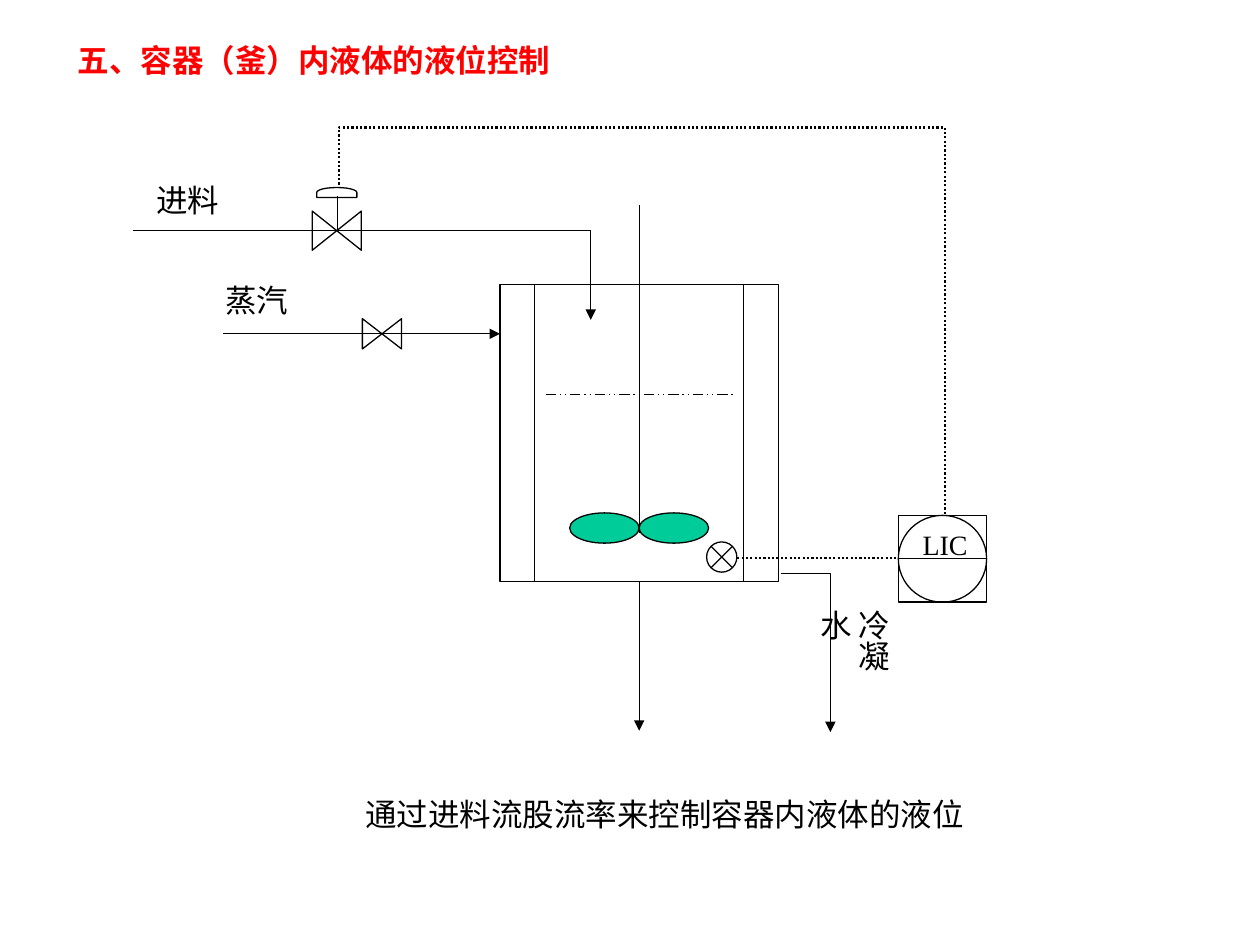
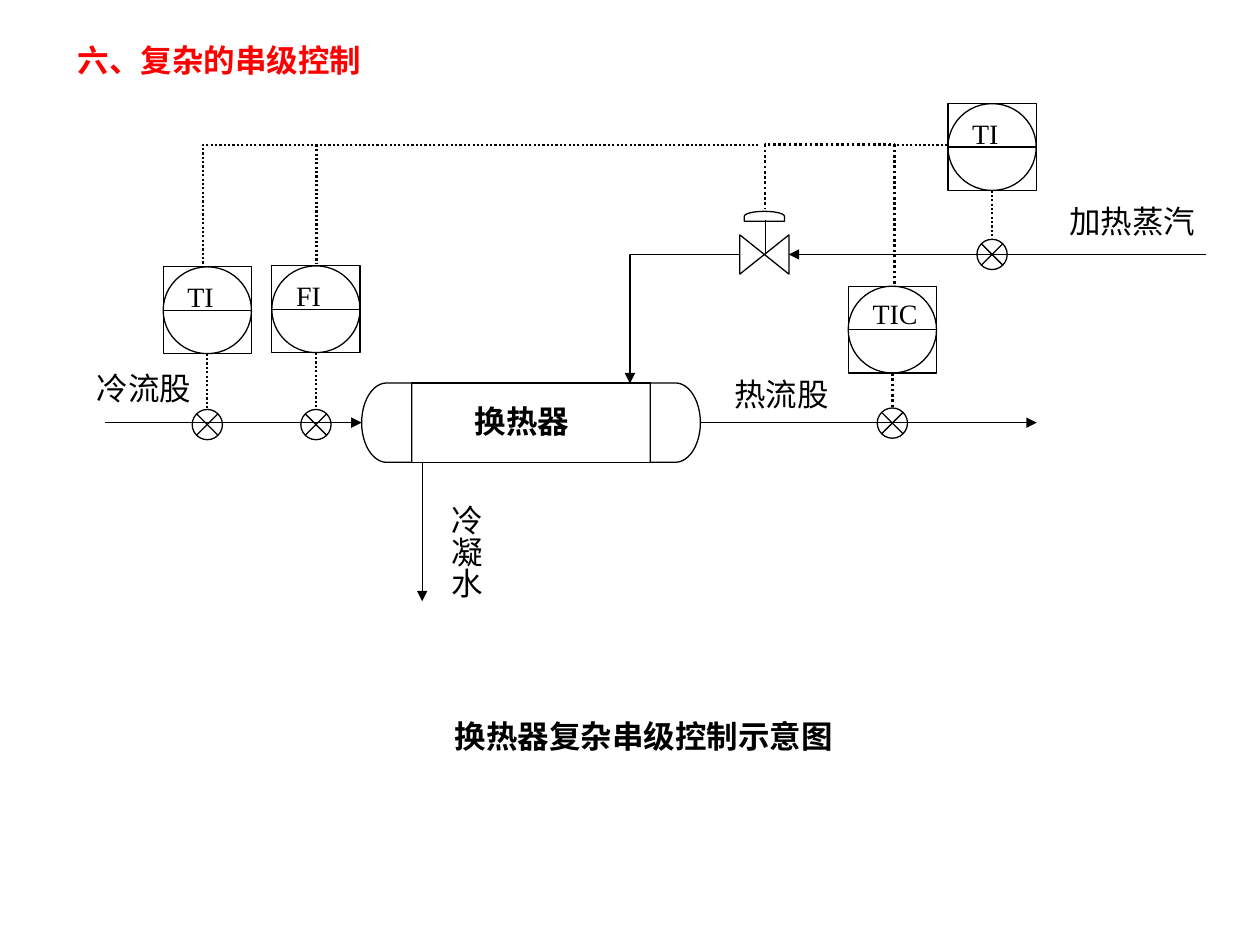
"""Builds two process control diagrams: tank level and cascade heating."""
from lxml.etree import SubElement as Sub
from pptx import Presentation as Deck
from pptx.dml.color import RGBColor as RGB
from pptx.enum.dml import MSO_LINE as Dash
from pptx.enum.shapes import MSO_CONNECTOR as Link, MSO_SHAPE as Form
from pptx.enum.text import MSO_AUTO_SIZE as Fit
from pptx.oxml.ns import qn
from pptx.util import Cm, Pt

HUES = {"ink": "000000", "title": "FF0000", "blade": "00CC99", "page": "FFFFFF"}
FONT = "Times New Roman"
DOT = Dash.ROUND_DOT
DIAL_W, DIAL_H = 1.78, 1.75
EYE = 0.61
ROW = 1.02


def hue(name):
    """Return a named colour."""
    return RGB.from_string(HUES[name])


def put(page, form, x, y, w, h, fill=None, turn=0):
    """Draw an outlined preset shape."""
    shape = page.shapes.add_shape(form, Cm(x), Cm(y), Cm(w), Cm(h))
    shape.shadow.inherit = False
    shape.rotation = turn
    if fill:
        shape.fill.solid()
        shape.fill.fore_color.rgb = hue(fill)
    else:
        shape.fill.background()
    shape.line.color.rgb = hue("ink")
    shape.line.width = Pt(0.75)


def mid(page, form, x, y, w, h, turn=0):
    """Draw a preset shape around its centre."""
    put(page, form, x - w / 2, y - h / 2, w, h, turn=turn)


def wire(page, x, y, spots, tip=False, dash=None, size=0.75):
    """Draw a line through spots measured from x, y."""
    spots = [(Cm(x + dx), Cm(y + dy)) for dx, dy in spots]
    if len(spots) == 2:
        shape = page.shapes.add_connector(Link.STRAIGHT, *spots[0], *spots[1])
    else:
        pen = page.shapes.build_freeform(*spots[0])
        pen.add_line_segments(spots[1:], close=False)
        shape = pen.convert_to_shape()
        shape.fill.background()
    shape.line.color.rgb = hue("ink")
    shape.line.width = Pt(size)
    if dash:
        shape.line.dash_style = dash
    props = shape.element.spPr
    if tip:
        Sub(props.find(qn("a:ln")), qn("a:tailEnd"), type="triangle")
    Sub(props, qn("a:effectLst"))


def note(page, text, x, y, w, h=ROW, size=18, bold=False, tint="ink", tall=False):
    """Write a label, upright in columns if tall."""
    box = page.shapes.add_textbox(Cm(x), Cm(y), Cm(w), Cm(h))
    frame = box.text_frame
    frame.word_wrap = True
    frame.auto_size = Fit.SHAPE_TO_FIT_TEXT
    if tall:
        frame.margin_left = frame.margin_right = Cm(0.13)
        frame.margin_top = frame.margin_bottom = Cm(0.25)
        box.element.txBody.find(qn("a:bodyPr")).set("vert", "eaVert")
    run = frame.paragraphs[0].add_run()
    run.text = text
    run.font.name = FONT
    run.font.size = Pt(size)
    run.font.bold = bold
    run.font.color.rgb = hue(tint)


def dial(page, x, y, tag, drop=0.13):
    """Draw a panel instrument with its tag."""
    for form in (Form.RECTANGLE, Form.OVAL):
        put(page, form, x, y, DIAL_W, DIAL_H)
    wire(page, x, y, [(0, DIAL_H / 2), (DIAL_W, DIAL_H / 2)])
    note(page, tag, x + 0.24, y + drop, 1.55, 0.94, size=16)


def eye(page, x, y):
    """Draw a sensor centred on x, y."""
    mid(page, Form.FLOWCHART_SUMMING_JUNCTION, x, y, EYE, EYE)


def probe(page, x, y, tag, end, drop=0.13, size=1.25):
    """Draw an instrument wired to a sensor below it."""
    dial(page, x, y, tag, drop)
    stem = x + DIAL_W / 2
    wire(page, stem, 0, [(0, y + DIAL_H), (0, end - EYE / 2)], dash=DOT, size=size)
    eye(page, stem, end)


def valve(page, x, y):
    """Draw a control valve centred on x, y."""
    mid(page, Form.FLOWCHART_COLLATE, x, y, 0.79, 0.99, 270)
    wire(page, x + 0.02, y, [(0, -0.7), (0, 0)])
    mid(page, Form.FLOWCHART_DELAY, x, y - 0.77, 0.2, 0.81, 270)


def tank(page, x, y, w, h):
    """Draw the stirred vessel with jacket, outlet and sensor."""
    put(page, Form.FLOWCHART_PREDEFINED_PROCESS, x, y, w, h)
    axis = w / 2
    wire(page, x, y, [(axis, -1.6), (axis, 5)])
    for left in (axis - 1.4, axis):
        put(page, Form.OVAL, x + left, y + 4.6, 1.4, 0.61, "blade")
    wire(page, x, y, [(axis, h), (axis, h + 3)], tip=True)
    wire(page, x, y, [(0.92, 2.21), (4.7, 2.21)], dash=Dash.DASH_DOT_DOT)
    eye(page, x + 4.47, y + 5.49)


def steam(page, x, y, w):
    """Draw the jacket steam line, its hand valve and label."""
    wire(page, x, y, [(0, 0), (w, 0)], tip=True)
    mid(page, Form.FLOWCHART_COLLATE, x + 3.2, y, 0.61, 0.79, 90)
    note(page, "蒸汽", x - 0.21, y - 1.19, 2)


def drain(page, x, y):
    """Draw the jacket condensate line and label."""
    wire(page, x, y, [(0, 0), (0.99, 0), (0.99, 3.2)], tip=True)
    note(page, "冷凝水", x + 1.09, y + 0.48, 1.27, 2.21, tall=True)


def feed(page, x, y, w):
    """Draw the feed line, its control valve and label."""
    wire(page, x, y, [(0, 0), (w, 0), (w, 1.8)], tip=True)
    valve(page, x + 4.1, y)
    note(page, "进料", x + 0.21, y - 1.12, 2.41)


def heater(page, x, y, w, h, cap):
    """Draw the exchanger with its streams and labels."""
    put(page, Form.FLOWCHART_DELAY, x, y, cap, h, turn=180)
    put(page, Form.FLOWCHART_DELAY, x + w - cap, y, cap, h)
    put(page, Form.RECTANGLE, x + cap, y, w - 2 * cap, h)
    for start, end in ((-5.18, 0), (w, 13.61)):
        wire(page, x, y + h / 2, [(start, 0), (end, 0)], tip=True)
    wire(page, x, y, [(1.22, h), (1.22, 4.4)], tip=True)
    note(page, "换热器", x + 2.03, y + 0.26, 2.59, bold=True)
    note(page, "冷流股", x - 5.59, y - 0.4, 2.79)
    note(page, "热流股", x + 7.26, y - 0.28, 3)
    note(page, "冷凝水", x + 1.35, y + 2.21, 1.27, 2.59, tall=True)


def supply(page, x, y):
    """Draw the heating steam line with its valve at x, y."""
    wire(page, x, y, [(8.9, 0), (0.49, 0)], tip=True)
    wire(page, x, y, [(-0.5, 0), (-2.71, 0), (-2.71, 2.6)], tip=True)
    valve(page, x, y)
    note(page, "加热蒸汽", x + 5.9, y - 1.18, 3.23)


def bus(page, x, y):
    """Draw the signal lines that meet at the valve, from x, y."""
    wire(page, x, y, [(13.94, 2.8), (13.94, 0), (11.33, 0), (11.33, 1.3)],
         dash=DOT, size=1.5)
    for spots in ([(11.2, 0), (0, 0), (0, 2.41)],
                  [(2.29, 0), (2.29, 2.41)],
                  [(13.82, 0), (15.01, 0)]):
        wire(page, x, y, spots, dash=DOT, size=1.25)


def sheet(deck, title):
    """Add a blank white slide with a title."""
    page = deck.slides.add_slide(deck.slide_layouts[6])
    page.background.fill.solid()
    page.background.fill.fore_color.rgb = hue("page")
    note(page, title, 1.32, 0.71, 11.99, bold=True, tint="title")
    return page


def level(deck):
    """Build the tank level slide."""
    page = sheet(deck, "五、容器（釜）内液体的液位控制")
    dial(page, 18.11, 10.39, "LIC")
    tank(page, 10.08, 5.74, 5.61, 5.99)
    steam(page, 4.5, 6.73, 5.58)
    drain(page, 15.75, 11.56)
    feed(page, 2.69, 4.65, 9.22)
    wire(page, 14.86, 11.25, [(0, 0), (3.2, 0)], dash=DOT, size=1.25)
    wire(page, 6.83, 2.57, [(12.22, 7.79), (12.22, 0), (0, 0), (0, 1.19)],
         dash=DOT, size=1.25)
    note(page, "通过进料流股流率来控制容器内液体的液位", 7.11, 15.9, 13)


def chain(deck):
    """Build the cascade control slide."""
    page = sheet(deck, "六、复杂的串级控制")
    heater(page, 7.29, 7.72, 6.83, 1.6, 1.01)
    supply(page, 15.41, 5.13)
    probe(page, 17.1, 5.77, "TIC", 8.53, drop=0.08, size=1.5)
    probe(page, 19.11, 2.09, "TI", 5.13)
    probe(page, 3.29, 5.38, "TI", 8.56)
    probe(page, 5.48, 5.36, "FI", 8.56)
    bus(page, 4.09, 2.92)
    note(page, "换热器复杂串级控制示意图", 8.92, 14.33, 8.79, bold=True)


def main():
    """Build and save the deck."""
    deck = Deck()
    deck.slide_width, deck.slide_height = Cm(25.4), Cm(19.05)
    level(deck)
    chain(deck)
    deck.save("out.pptx")


if __name__ == "__main__":
    main()
